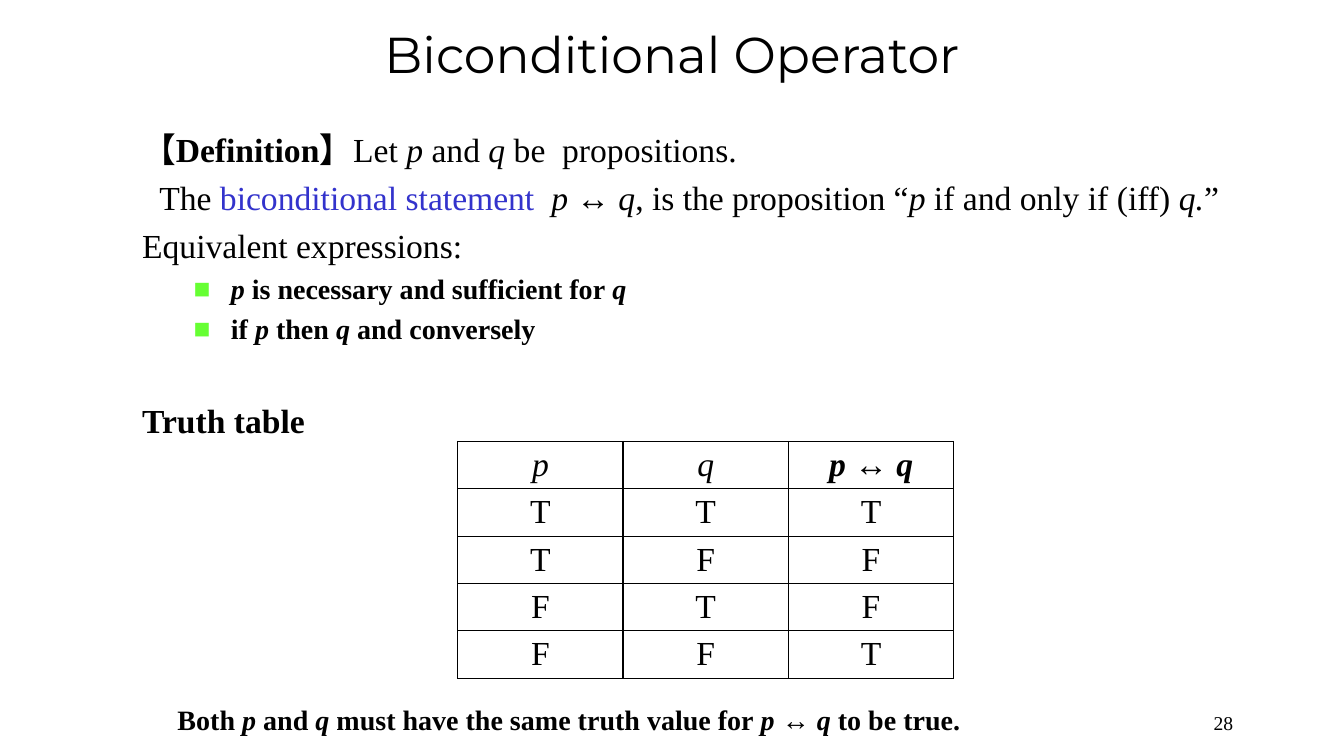
from lxml import etree
from pptx import Presentation
from pptx import util as u
from pptx.dml.color import RGBColor
from pptx.enum import text
from pptx.oxml import ns


def rgb(color):
    return RGBColor.from_string(color)


class Deck:
    """Hold the style and the current slide, and draw each kind of element."""

    serif, sans = "Times New Roman", "Montserrat"
    ink, term, bullet, paper = "000000", "3333CC", "66FF33", "FFFFFF"

    def __init__(self, prs):
        self.s = prs.slides.add_slide(prs.slide_layouts[1])

    def place(self, sp, left, top, width, height):
        sp.left, sp.top = u.Inches(left), u.Inches(top)
        sp.width, sp.height = u.Inches(width), u.Inches(height)

    def style(self, r, size, face=None, bold=False, italic=False, color=None):
        f = r.font
        f.name, f.size = face or self.serif, u.Pt(size)
        f.bold, f.italic = bold, italic
        f.color.rgb = rgb(color or self.ink)

    def title(self, words, *box):
        sp = self.s.shapes.title
        self.place(sp, *box)
        tf = sp.text_frame
        tf.text = words
        tf.vertical_anchor = text.MSO_ANCHOR.MIDDLE
        p = tf.paragraphs[0]
        p.alignment = text.PP_ALIGN.CENTER
        self.style(p.runs[0], 36, self.sans)

    def body(self, lines, *box):
        sp = self.s.placeholders[1]
        self.place(sp, *box)
        tf = sp.text_frame
        tf.auto_size = text.MSO_AUTO_SIZE.NONE
        tf.vertical_anchor = text.MSO_ANCHOR.TOP
        for n, (runs, size, before, indent, level) in enumerate(lines):
            p = tf.add_paragraph() if n else tf.paragraphs[0]
            p.level, p.space_before = level, u.Pt(before)
            self.indent(p, indent, level)
            for words, marks in runs:
                r = p.add_run()
                r.text = words
                self.style(r, size, bold="b" in marks, italic="i" in marks,
                           color=self.term if "c" in marks else None)

    def indent(self, p, left, bulleted):
        pPr = p._p.get_or_add_pPr()
        pPr.set("marL", str(u.Inches(left)))
        pPr.set("indent", str(u.Inches(-0.37 if bulleted else 0)))
        if not bulleted:
            etree.SubElement(pPr, ns.qn("a:buNone"))
            return
        clr = etree.SubElement(pPr, ns.qn("a:buClr"))
        etree.SubElement(clr, ns.qn("a:srgbClr"), val=self.bullet)
        etree.SubElement(pPr, ns.qn("a:buChar"), char="■")

    def table(self, rows, left, top, width, height):
        frame = self.s.shapes.add_table(
            len(rows), len(rows[0]), u.Inches(left), u.Inches(top),
            u.Inches(width), u.Inches(height))
        tbl = frame.table
        tbl.first_row = tbl.horz_banding = False
        for i, row in enumerate(rows):
            for j, runs in enumerate(row):
                self.cell(tbl.cell(i, j), runs)

    def cell(self, cell, runs):
        tcPr = cell._tc.get_or_add_tcPr()
        for side in ("a:lnL", "a:lnR", "a:lnT", "a:lnB"):
            ln = etree.SubElement(tcPr, ns.qn(side), w=str(u.Pt(1)))
            fill = etree.SubElement(ln, ns.qn("a:solidFill"))
            etree.SubElement(fill, ns.qn("a:srgbClr"), val=self.ink)
        cell.fill.solid()
        cell.fill.fore_color.rgb = rgb(self.paper)
        cell.vertical_anchor = text.MSO_ANCHOR.MIDDLE
        p = cell.text_frame.paragraphs[0]
        p.alignment = text.PP_ALIGN.CENTER
        for words, marks in runs:
            r = p.add_run()
            r.text = words
            self.style(r, 24, bold="b" in marks, italic="i" in marks)

    def number(self, words, *box):
        sp = self.s.shapes.add_textbox(*map(u.Inches, box))
        tf = sp.text_frame
        tf.word_wrap = True
        tf.text = words
        p = tf.paragraphs[0]
        p.alignment = text.PP_ALIGN.RIGHT
        self.style(p.runs[0], 14)


def main():
    prs = Presentation()
    prs.slide_width, prs.slide_height = u.Inches(13.33), u.Inches(7.5)
    deck = Deck(prs)
    deck.title("Biconditional Operator", 1, 0.13, 11.33, 0.79)

    definition = [("【Definition】", "b"), ("Let ", ""), ("p ", "i"),
                  ("and", ""), (" q ", "i"), ("be  propositions.", "")]
    statement = [("The ", ""), ("biconditional statement  ", "c"),
                 ("p ", "i"), ("↔ ", "b"), ("q", "i"),
                 (", is the proposition “", ""), ("p", "i"),
                 (" if and only if (iff) ", ""), ("q.", "i"), ("”", "")]
    necessary = [("p", "bi"), (" is necessary and sufficient for ", "b"),
                 ("q", "bi")]
    converse = [("if ", "b"), ("p", "bi"), (" then ", "b"), ("q ", "bi"),
                ("and conversely", "b")]
    summary = [("Both ", "b"), ("p", "bi"), (" and ", "b"), ("q", "bi"),
               (" must have the same truth value for ", "b"), ("p ", "bi"),
               ("↔ ", "b"), ("q ", "bi"), ("to be true.", "b")]
    deck.body([
        (definition, 24, 0, 0, 0),
        (statement, 24, 5.5, 0.17, 0),
        ([("Equivalent expressions:", "")], 24, 5.5, 0, 0),
        (necessary, 20, 4.6, 0.88, 1),
        (converse, 20, 4.6, 0.88, 1),
        ([("Truth table", "b")], 24, 39, 0, 0),
        (summary, 20, 187.5, 0.35, 0),
    ], 1.31, 1.23, 11.07, 5.99)

    header = [[("p", "i")], [("q", "i")],
              [("p ", "bi"), ("↔ ", "b"), ("q", "bi")]]
    values = [[[(v, "")] for v in (p, q, "T" if p == q else "F")]
              for p in "TF" for q in "TF"]
    deck.table([header] + values, 4.54, 4.38, 4.92, 2.35)
    deck.number("28", 10.22, 7, 2.11, 0.33)
    prs.save("out.pptx")


if __name__ == "__main__":
    main()
